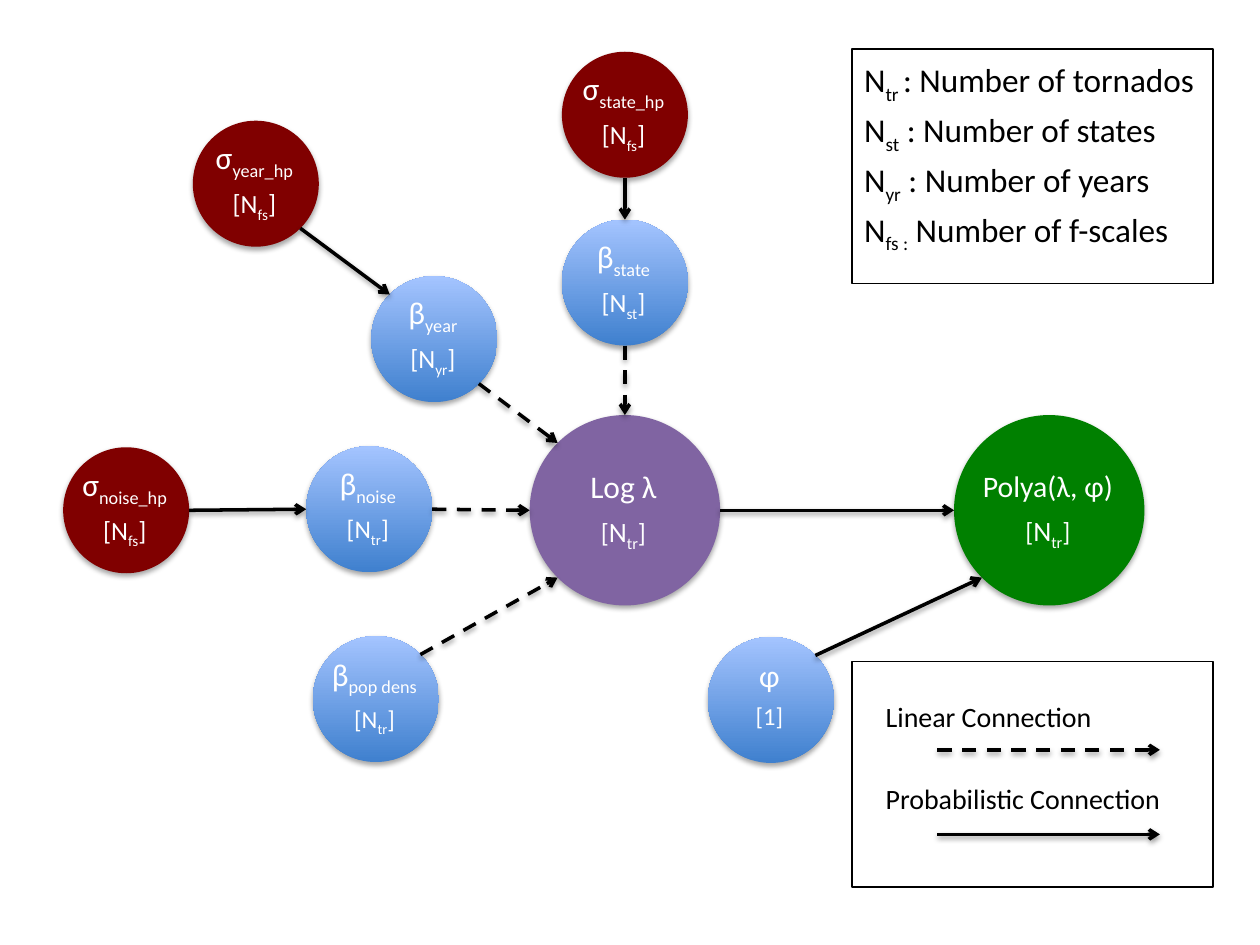
from dataclasses import dataclass
from math import cos, radians, sin

from lxml.etree import SubElement
from pptx import Presentation
from pptx.dml.color import RGBColor
from pptx.enum.dml import MSO_LINE
from pptx.enum.shapes import MSO_CONNECTOR, MSO_SHAPE
from pptx.enum.text import MSO_ANCHOR, PP_ALIGN
from pptx.oxml.ns import qn
from pptx.util import Pt

COLORS = {
    "black": "000000", "white": "FFFFFF", "red": "800000", "green": "008000",
    "purple": "8064A2", "blue_dark": "3F80CE", "blue_light": "A4C4FF",
}
LABEL_WIDTH, LABEL_HEIGHT = 125.3, 77


@dataclass
class Node:
    x: float
    y: float
    color: str
    symbol: str
    subscript: str
    index: str
    index_size: float = 15
    diameter: float = 72
    symbol_size: float = 18
    bracket_size: float = 15

    def edge(self, angle: float) -> tuple[float, float]:
        """Point on the rim, with the angle measured clockwise from the right."""
        radius = self.diameter / 2
        return (self.x + radius * cos(radians(angle)),
                self.y + radius * sin(radians(angle)))


@dataclass
class Link:
    source: str
    source_angle: float
    target: str
    target_angle: float
    dashed: bool = False


NODES = {
    "polya": Node(599.6, 291.6, "green", "Polya(λ, φ)", "", "tr", 16, 108.8, 17),
    "log": Node(357.1, 291.6, "purple", "Log λ", "", "tr", 16, 108.8),
    "state_hp": Node(357.1, 65.6, "red", "σ", "state_hp", "fs"),
    "state": Node(357.1, 161.5, "blue", "β", "state", "st"),
    "year_hp": Node(146.2, 105, "red", "σ", "year_hp", "fs"),
    "year": Node(248.2, 193.8, "blue", "β", "year", "yr"),
    "noise_hp": Node(72.1, 291.6, "red", "σ", "noise_hp", "fs"),
    "noise": Node(211, 291, "blue", "β", "noise", "tr", 14.5, bracket_size=14.5),
    "pop_dens": Node(214.8, 399.5, "blue", "β", "pop dens", "tr", 14, bracket_size=14),
    "phi": Node(440.5, 400, "blue", "φ", "", "", 14, bracket_size=14),
}
LINKS = [
    Link("state", 90, "log", 270, True),
    Link("state_hp", 90, "state", 270),
    Link("noise", 0, "log", 180, True),
    Link("noise_hp", 0, "noise", 180),
    Link("pop_dens", 315, "log", 135, True),
    Link("log", 0, "polya", 180),
    Link("year_hp", 45, "year", 225),
    Link("year", 45, "log", 225, True),
    Link("phi", 315, "polya", 135),
]
NOTATION = [
    ("tr ", ": Number of tornados"),
    ("st", " : Number of states"),
    ("yr", " : Number of years"),
    ("fs :", " Number of f-scales"),
]
# Caption, caption top, arrow height, dashed
LINK_KEY = [
    ("Linear Connection", 396, 428.5, True),
    ("Probabilistic Connection", 442.8, 476.8, False),
]


def rgb(name: str) -> RGBColor:
    return RGBColor.from_string(COLORS[name])


def add_shadow(shape, distance: float, opacity: int) -> None:
    effects = SubElement(shape._element.spPr, qn("a:effectLst"))
    shadow = SubElement(effects, qn("a:outerShdw"), blurRad=str(Pt(3.1)),
                        dist=str(Pt(distance)), dir="5400000", rotWithShape="0")
    color = SubElement(shadow, qn("a:srgbClr"), val=COLORS["black"])
    SubElement(color, qn("a:alpha"), val=str(opacity * 1000))


def add_run(paragraph, text: str, size: float, color: str, lowered: bool = False) -> None:
    run = paragraph.add_run()
    run.text = text
    run.font.name = "Calibri"
    run.font.size = Pt(size)
    run.font.color.rgb = rgb(color)
    if lowered:
        run._r.get_or_add_rPr().set("baseline", "-25000")


def add_node(slide, node: Node) -> None:
    group = slide.shapes.add_group_shape()
    radius = node.diameter / 2
    circle = group.shapes.add_shape(
        MSO_SHAPE.OVAL, Pt(node.x - radius), Pt(node.y - radius),
        Pt(node.diameter), Pt(node.diameter))
    if node.color == "blue":
        circle.fill.gradient()
        circle.fill.gradient_angle = 90
        for stop, color in zip(circle.fill.gradient_stops, ("blue_dark", "blue_light")):
            stop.color.rgb = rgb(color)
    else:
        circle.fill.solid()
        circle.fill.fore_color.rgb = rgb(node.color)
    circle.line.fill.background()
    add_shadow(circle, 1.8, 35)

    # Label, slightly raised in the small circles
    raise_by = 2.5 if node.diameter == 72 else 0
    label = group.shapes.add_textbox(
        Pt(node.x - 0.8 - LABEL_WIDTH / 2), Pt(node.y - raise_by - LABEL_HEIGHT / 2),
        Pt(LABEL_WIDTH), Pt(LABEL_HEIGHT))
    frame = label.text_frame
    frame.word_wrap = True
    frame.vertical_anchor = MSO_ANCHOR.MIDDLE
    frame.margin_left = frame.margin_right = Pt(1.4)
    frame.margin_top = frame.margin_bottom = Pt(1.4)
    name, size = frame.paragraphs[0], frame.add_paragraph()
    for paragraph in (name, size):
        paragraph.alignment = PP_ALIGN.CENTER
        paragraph.line_spacing = 0.9
        paragraph.space_after = Pt(6)
    add_run(name, node.symbol, node.symbol_size, "white")
    if node.subscript:
        add_run(name, node.subscript, node.symbol_size, "white", True)
    if node.index:
        add_run(size, "[", node.bracket_size, "white")
        add_run(size, "N", node.index_size, "white")
        add_run(size, node.index, node.index_size, "white", True)
        add_run(size, "]", node.bracket_size, "white")
    else:
        add_run(size, "[1]", node.bracket_size, "white")


def add_arrow(slide, start: tuple[float, float], end: tuple[float, float],
              dashed: bool) -> None:
    arrow = slide.shapes.add_connector(
        MSO_CONNECTOR.STRAIGHT, *(Pt(value) for value in (*start, *end)))
    arrow.line.color.rgb = rgb("black")
    arrow.line.width = Pt(2)
    if dashed:
        arrow.line.dash_style = MSO_LINE.DASH
    SubElement(arrow.line._get_or_add_ln(), qn("a:tailEnd"), type="arrow")
    add_shadow(arrow, 1.6, 38)


def add_frame(slide, top: float, height: float):
    box = slide.shapes.add_shape(
        MSO_SHAPE.RECTANGLE, Pt(486.7), Pt(top), Pt(206.6), Pt(height))
    box.shadow.inherit = False
    box.fill.background()
    box.line.color.rgb = rgb("black")
    box.line.width = Pt(1)
    return box


presentation = Presentation()
presentation.slide_width, presentation.slide_height = Pt(720), Pt(540)
slide = presentation.slides.add_slide(presentation.slide_layouts[6])

# Model graph
for node in NODES.values():
    add_node(slide, node)
for link in LINKS:
    add_arrow(slide, NODES[link.source].edge(link.source_angle),
              NODES[link.target].edge(link.target_angle), link.dashed)

# Notation box
notation = add_frame(slide, 28, 134).text_frame
notation.word_wrap = True
notation.vertical_anchor = MSO_ANCHOR.TOP
for position, (index, meaning) in enumerate(NOTATION):
    paragraph = notation.add_paragraph() if position else notation.paragraphs[0]
    paragraph.alignment = PP_ALIGN.LEFT
    paragraph.line_spacing = 1.1
    add_run(paragraph, "N", 19, "black")
    add_run(paragraph, index, 19, "black", True)
    add_run(paragraph, meaning, 19, "black")

# Connection key
add_frame(slide, 378, 129)
for caption, top, arrow_height, dashed in LINK_KEY:
    text_box = slide.shapes.add_textbox(Pt(499), Pt(top), Pt(173.5), Pt(26.6))
    text_box.text_frame.word_wrap = False
    add_run(text_box.text_frame.paragraphs[0], caption, 16, "black")
    add_arrow(slide, (535.7, arrow_height), (662.8, arrow_height), dashed)

presentation.save("out.pptx")
